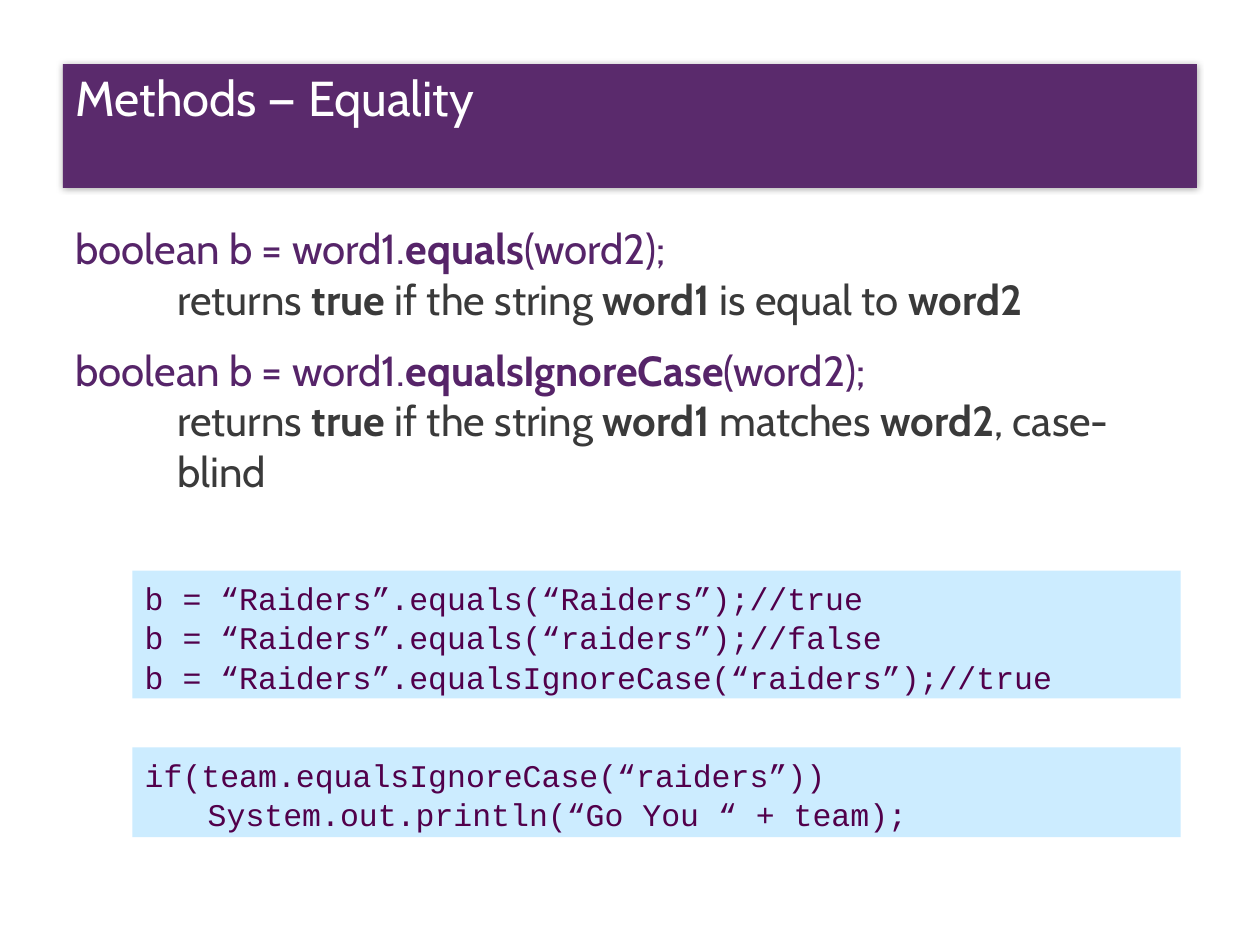
from lxml.etree import SubElement
from pptx import Presentation
from pptx.dml.color import RGBColor
from pptx.enum.shapes import MSO_SHAPE as Shape
from pptx.enum.text import MSO_ANCHOR as Anchor, PP_ALIGN as Align
from pptx.oxml.ns import qn
from pptx.util import Inches, Pt

PURPLE = RGBColor(0x56, 0x24, 0x69)
GRAY = RGBColor(0x3A, 0x3A, 0x3A)
PLUM = RGBColor(0x51, 0x00, 0x4B)
SKY = RGBColor(0xCC, 0xEC, 0xFF)
WHITE = RGBColor(0xFF, 0xFF, 0xFF)


class Deck:
    text_font = "Cabin"
    code_font = "Courier New"
    line_spacing = 1.05

    def __init__(self, width, height):
        self.prs = Presentation()
        self.prs.slide_width = Inches(width)
        self.prs.slide_height = Inches(height)
        self.s = self.prs.slides.add_slide(self.prs.slide_layouts[6])

    def box(self, x, y, w, h):
        width, height = self.prs.slide_width, self.prs.slide_height
        return [int(v) for v in (x * width, y * height, w * width, h * height)]

    def style(self, r, font, size, color, bold=False):
        r.font.name = font
        r.font.size = Pt(size)
        r.font.color.rgb = color
        r.font.bold = bold

    def panel(self, text, area, fill, font, size, color):
        sp = self.s.shapes.add_shape(Shape.RECTANGLE, *self.box(*area))
        sp.shadow.inherit = False
        sp.fill.solid()
        sp.fill.fore_color.rgb = fill
        sp.line.fill.background()
        tf = sp.text_frame
        tf.word_wrap = True
        tf.vertical_anchor = Anchor.TOP
        tf.text = text
        for p in tf.paragraphs:
            p.alignment = Align.LEFT
            p.line_spacing = self.line_spacing
            for r in p.runs:
                self.style(r, font, size, color)
        return sp

    def title(self, text, area):
        sp = self.panel(text, area, PURPLE, self.text_font, 28, WHITE)
        sp.text_frame.margin_top = 0
        props = sp._element.spPr
        color = props.find(qn("a:solidFill")).find(qn("a:srgbClr"))
        SubElement(color, qn("a:alpha"), val="95000")
        effects = props.find(qn("a:effectLst"))
        shadow = SubElement(effects, qn("a:outerShdw"), blurRad=str(Pt(4)), dist="0")
        black = SubElement(shadow, qn("a:srgbClr"), val="000000")
        SubElement(black, qn("a:alpha"), val="35000")

    def code(self, text, area):
        self.panel(text, area, SKY, self.code_font, 18, PLUM)

    def methods(self, entries, area):
        tf = self.s.shapes.add_textbox(*self.box(*area)).text_frame
        tf.word_wrap = True
        for i, (signature, meaning) in enumerate(entries):
            p = tf.add_paragraph() if i else tf.paragraphs[0]
            if i:
                p.space_before = Pt(12)
            self.rich(p, signature, PURPLE, 0.38, -0.38)
            p = tf.add_paragraph()
            p.level = 1
            self.rich(p, meaning, GRAY, 0.81, 0)

    def rich(self, p, text, color, margin, indent):
        props = p._p.get_or_add_pPr()
        props.set("marL", str(Inches(margin)))
        props.set("indent", str(Inches(indent)))
        for i, part in enumerate(text.split("*")):
            if part:
                r = p.add_run()
                r.text = part
                self.style(r, self.text_font, 24, color, bold=i % 2 == 1)

    def save(self):
        self.prs.save("out.pptx")


def main():
    deck = Deck(10, 7.5)
    deck.title("Methods — Equality", (0.05, 0.068, 0.9, 0.131))
    deck.methods(
        [
            ("boolean b = word1.*equals*(word2);",
             "returns *true* if the string *word1* is equal to *word2*"),
            ("boolean b = word1.*equalsIgnoreCase*(word2);",
             "returns *true* if the string *word1* matches *word2*, case-blind"),
        ],
        (0.05, 0.229, 0.9, 0.736),
    )
    deck.code(
        "b = “Raiders”.equals(“Raiders”);//true\n"
        "b = “Raiders”.equals(“raiders”);//false\n"
        "b = “Raiders”.equalsIgnoreCase(“raiders”);//true",
        (0.105, 0.604, 0.832, 0.135),
    )
    deck.code(
        "if(team.equalsIgnoreCase(“raiders”))\n"
        "\tSystem.out.println(“Go You “ + team);",
        (0.105, 0.791, 0.832, 0.095),
    )
    deck.save()


if __name__ == "__main__":
    main()
